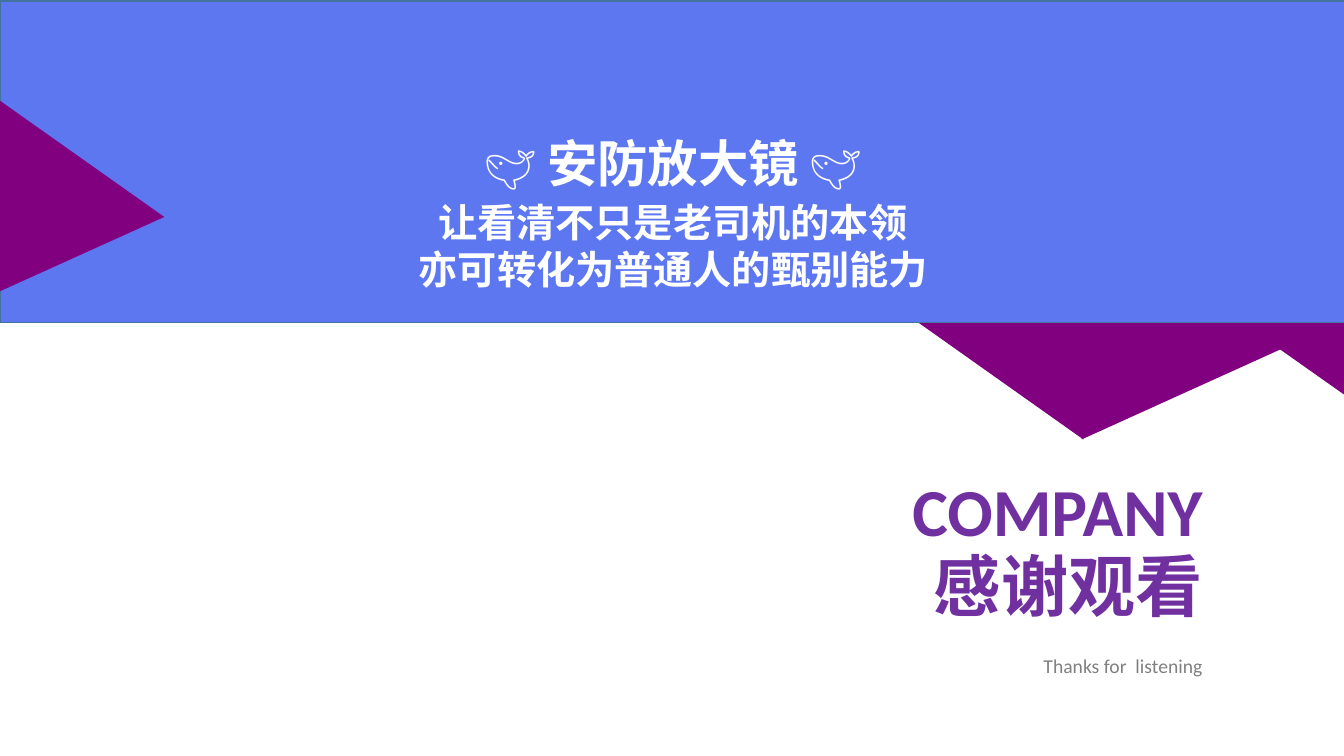
from lxml import etree
from pptx import Presentation
from pptx.dml.color import RGBColor
from pptx.enum.shapes import MSO_SHAPE
from pptx.enum.text import MSO_ANCHOR, MSO_AUTO_SIZE, PP_ALIGN
from pptx.oxml.ns import qn
from pptx.util import Cm, Pt

TRIANGLE, RECTANGLE = MSO_SHAPE.ISOSCELES_TRIANGLE, MSO_SHAPE.RECTANGLE
CENTER, RIGHT = PP_ALIGN.CENTER, PP_ALIGN.RIGHT
MIDDLE = MSO_ANCHOR.MIDDLE
FIT_SHAPE = MSO_AUTO_SIZE.SHAPE_TO_FIT_TEXT

LATIN_FONT, CJK_FONT = "Calibri", "Noto Sans CJK JP"
BLUE, BLUE_EDGE, PURPLE = "5D77F1", "43739E", "800080"
VIOLET, GRAY, WHITE = "7030A0", "808080", "FFFFFF"
POINT_RIGHT, POINT_LEFT = 90, 270
APEX = 0.61
RIGHT_MARGIN = 30.56


def color(value):
    return RGBColor.from_string(value)


class ClosingSlide:
    def __init__(self, presentation):
        self.slide = presentation.slides.add_slide(presentation.slide_layouts[6])

    def shape(self, kind, left, top, width, height, fill):
        shape = self.slide.shapes.add_shape(
            kind, Cm(left), Cm(top), Cm(width), Cm(height))
        shape.shadow.inherit = False
        shape.fill.solid()
        shape.fill.fore_color.rgb = color(fill)
        shape.line.fill.background()
        return shape

    def triangle(self, left, top, width, height, rotation):
        triangle = self.shape(TRIANGLE, left, top, width, height, PURPLE)
        triangle.adjustments[0] = APEX
        triangle.rotation = rotation

    def band(self, left, top, width, height, title):
        band = self.shape(RECTANGLE, left, top, width, height, BLUE)
        band.line.color.rgb = color(BLUE_EDGE)
        band.line.width = Pt(1)
        band.text_frame.vertical_anchor = MIDDLE
        self.add_lines(band.text_frame, [title], 36, WHITE, CENTER, CJK_FONT)

    def text(self, left, top, width, height, lines, size, ink, align,
             font=LATIN_FONT, bold=True, wrap=True, spacing=None):
        box = self.slide.shapes.add_textbox(
            Cm(left), Cm(top), Cm(width), Cm(height))
        box.text_frame.word_wrap = wrap
        box.text_frame.auto_size = FIT_SHAPE
        self.add_lines(box.text_frame, lines, size, ink, align, font, bold, spacing)

    def add_lines(self, frame, lines, size, ink, align, font, bold=True, spacing=None):
        for index, line in enumerate(lines):
            paragraph = frame.add_paragraph() if index else frame.paragraphs[0]
            paragraph.alignment = align
            if spacing:
                paragraph.line_spacing = spacing
            run = paragraph.add_run()
            run.text = line
            run.font.size = Pt(size)
            run.font.bold = bold
            run.font.color.rgb = color(ink)
            run.font.name = font
            east_asian = etree.SubElement(run._r.get_or_add_rPr(), qn("a:ea"))
            east_asian.set("typeface", CJK_FONT)


def main():
    presentation = Presentation()
    presentation.slide_width, presentation.slide_height = Cm(33.87), Cm(19.05)
    closing = ClosingSlide(presentation)

    closing.triangle(21.87, 5.64, 5.84, 5.03, POINT_LEFT)
    closing.triangle(26.85, 5.64, 5.84, 5.03, POINT_RIGHT)
    closing.triangle(26.72, 2.79, 7.67, 6.63, POINT_LEFT)

    for heading, top, width in (("感谢观看", 13.59, 7.34), ("COMPANY", 11.71, 9.12)):
        closing.text(RIGHT_MARGIN - width, top, width, 2.31, [heading],
                     48, VIOLET, RIGHT, wrap=False)
    closing.text(12.35, 16.26, 18.21, 0.94, ["Thanks for  listening"],
                 14, GRAY, RIGHT, bold=False, spacing=1.14)

    closing.band(0, 0.03, 33.93, 8.1, "🐋 安防放大镜 🐋")
    closing.text(5.33, 4.88, 23.27, 2.64,
                 ["让看清不只是老司机的本领", "亦可转化为普通人的甄别能力"],
                 28, WHITE, CENTER, CJK_FONT)
    closing.triangle(-0.33, 2.87, 4.8, 4.14, POINT_RIGHT)

    presentation.save("out.pptx")


if __name__ == "__main__":
    main()
